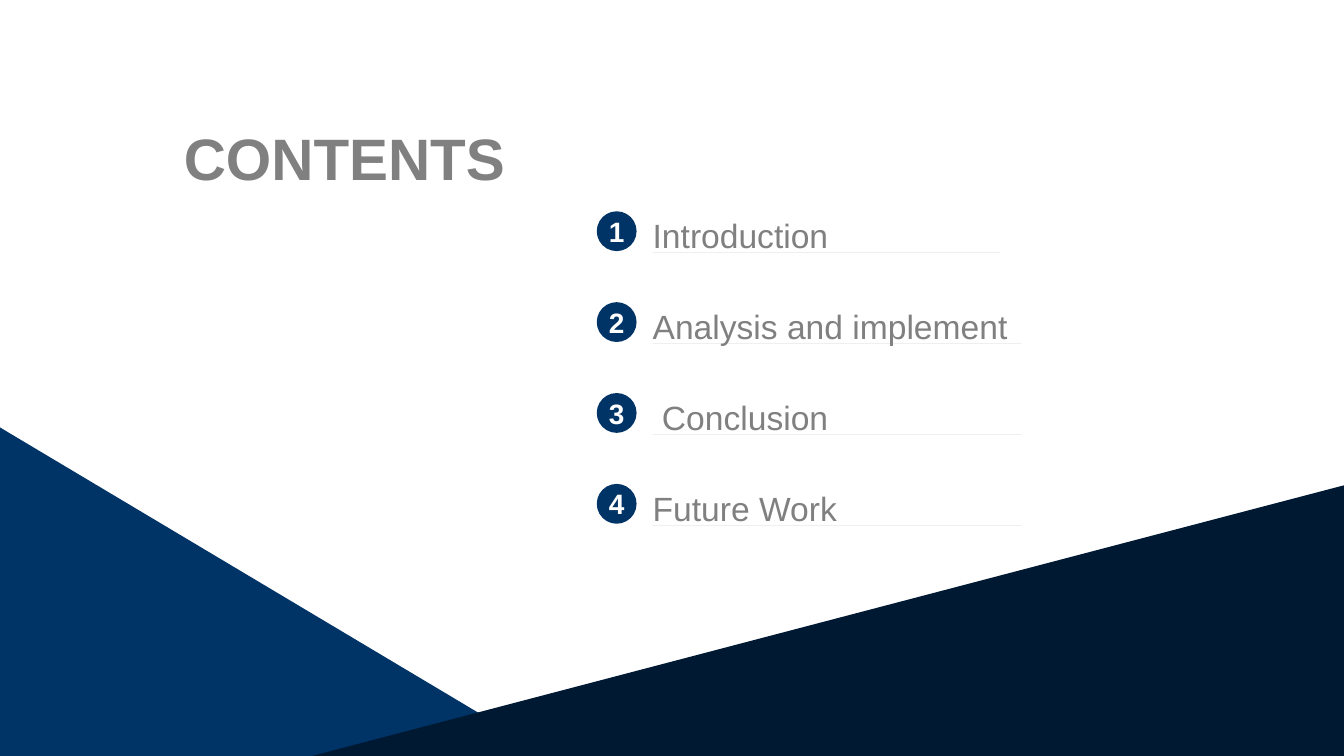
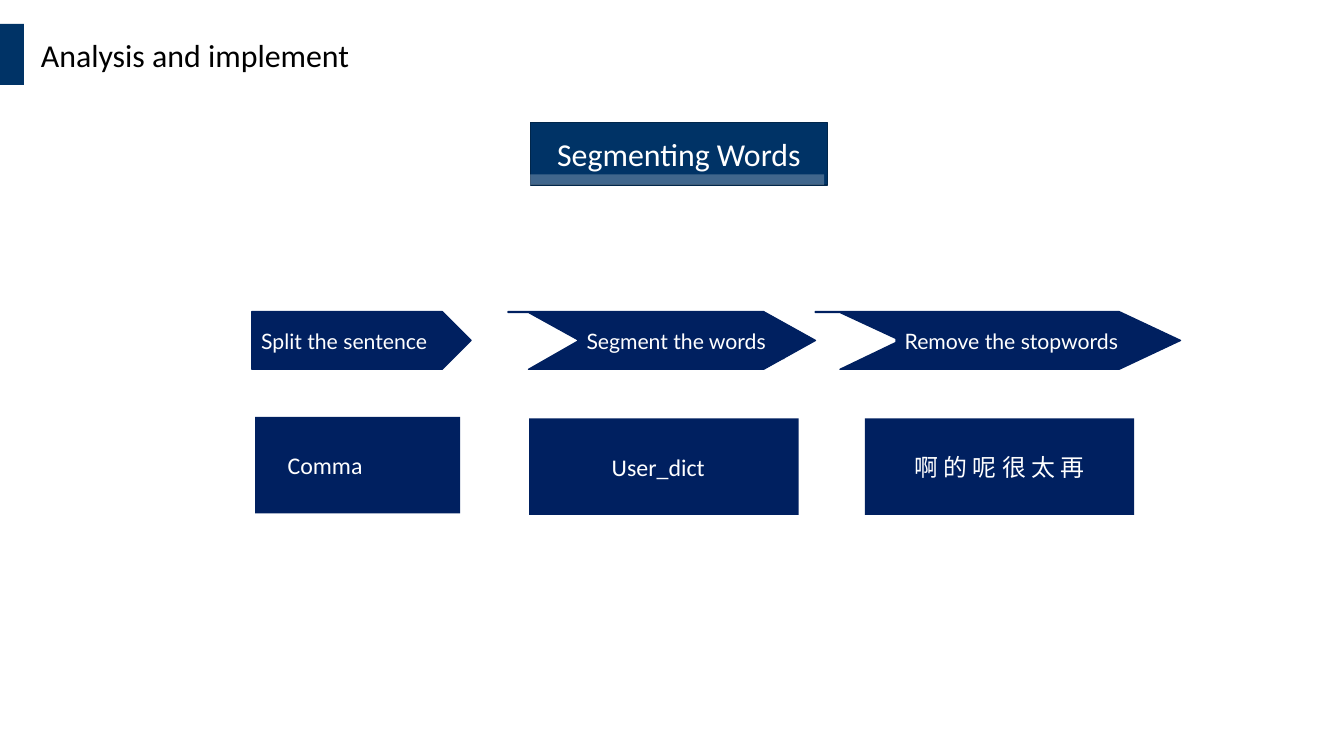
from dataclasses import dataclass

from lxml.etree import SubElement
from pptx import Presentation
from pptx.dml.color import RGBColor as RGB
from pptx.enum.shapes import MSO_SHAPE as SHAPE
from pptx.enum.text import MSO_ANCHOR as ANCHOR, PP_ALIGN as ALIGN
from pptx.oxml.ns import qn
from pptx.util import Pt


@dataclass(frozen=True)
class Theme:
    """Colours, fonts, type sizes and slide size."""
    width: float = 1012.5
    height: float = 569.5
    white: str = "FFFFFF"
    black: str = "000000"
    grey: str = "808080"
    blue: str = "003366"
    blue_edge: str = "00264B"
    navy: str = "002060"
    night: str = "001933"
    sans: str = "Arial"
    body: str = "Calibri"
    label: str = "Lato"
    contents: float = 44
    item: float = 25.3
    number: float = 21.1
    heading: float = 24
    box: float = 18
    step: float = 16


T = Theme()
INSETS = (7.2, 3.6, 7.2, 3.6)
NO_INSETS = (0, 0, 0, 0)


def put_text(s, text, *, size, color=T.white, font=T.body, bold=False, align=ALIGN.CENTER,
             anchor=ANCHOR.MIDDLE, insets=INSETS, spacing=None):
    """Write one formatted paragraph into a shape."""
    tf = s.text_frame
    tf.word_wrap = True
    tf.vertical_anchor = anchor
    tf.margin_left, tf.margin_top, tf.margin_right, tf.margin_bottom = map(Pt, insets)
    p = tf.paragraphs[0]
    p.alignment = align
    if spacing:
        p.line_spacing = spacing
    r = p.add_run()
    r.text = text
    r.font.name, r.font.size, r.font.bold = font, Pt(size), bold
    r.font.color.rgb = RGB.from_string(color)


def paint(s, fill, line=None, alpha=None):
    """Set a shape's fill, opacity and outline, without a shadow."""
    s.shadow.inherit = False
    s.fill.solid()
    s.fill.fore_color.rgb = RGB.from_string(fill)
    if alpha is not None:
        clr = s._element.spPr.find(".//" + qn("a:srgbClr"))
        SubElement(clr, qn("a:alpha")).set("val", str(alpha * 1000))
    if line:
        s.line.color.rgb = RGB.from_string(line)
        s.line.width = Pt(1)
    else:
        s.line.fill.background()
    return s


def shape(sl, kind, x, y, w, h, fill, **style):
    """Add a painted preset shape."""
    return paint(sl.shapes.add_shape(kind, Pt(x), Pt(y), Pt(w), Pt(h)), fill, **style)


def outline(sl, contours, fill, **style):
    """Add a painted shape made of one or more closed contours."""
    (first, *rest), *others = [[(Pt(x), Pt(y)) for x, y in c] for c in contours]
    fb = sl.shapes.build_freeform(*first, scale=1.0)
    fb.add_line_segments(rest, close=True)
    for start, *points in others:
        fb.move_to(*start)
        fb.add_line_segments(points, close=True)
    return paint(fb.convert_to_shape(), fill, **style)


def text_box(sl, text, x, y, w, h, **fmt):
    """Add a text box without insets."""
    s = sl.shapes.add_textbox(Pt(x), Pt(y), Pt(w), Pt(h))
    put_text(s, text, insets=NO_INSETS, **fmt)


def contents_item(sl, number, text, y, w):
    """Add a numbered contents entry that stands on a hairline."""
    s = shape(sl, SHAPE.OVAL, 449.6, y, 30, 30, T.blue)
    put_text(s, str(number), size=T.number, font=T.sans, bold=True, insets=NO_INSETS)
    x, top, base = 491.7, y - 4.5, y + 31.1
    s = outline(sl, [[(x, base), (x + w, base), (x, base)], [(x, top)] * 3], T.grey)
    put_text(s, text, size=T.item, color=T.grey, font=T.sans, align=ALIGN.LEFT,
             insets=NO_INSETS, spacing=1.3)


def step_arrow(sl, y, h, left, inner, notch, shoulder, tip):
    """Add a notched arrow with a thin lip at its top left."""
    lip, mid, bottom = y + 0.7, y + h / 2, y + h
    outline(sl, [[(left, y), (shoulder, y), (tip, mid), (shoulder, bottom),
                  (inner, bottom), (notch, mid), (inner, lip), (left, lip)]],
            T.navy, line=T.navy)


def step_label(sl, text, x, w):
    """Add the plate that names a step."""
    s = shape(sl, SHAPE.RECTANGLE, x, 244.1, w, 26.6, T.navy)
    put_text(s, text, size=T.step, font=T.label, align=ALIGN.LEFT, anchor=ANCHOR.TOP)


def contents_slide(sl):
    """Build the contents slide."""
    text_box(sl, "CONTENTS", 129.6, 92.2, 260, 53.3, size=T.contents, color=T.grey,
             font=T.sans, bold=True, anchor=ANCHOR.TOP)
    items = [("Introduction", 262), ("Analysis and implement", 277.6),
             (" Conclusion", 277.6), ("Future Work", 277.6)]
    for i, (text, w) in enumerate(items):
        contents_item(sl, i + 1, text, 159.2 + 68.45 * i, w)
    outline(sl, [[(0, 322), (415, T.height), (0, T.height)]], T.blue)
    outline(sl, [[(T.width, 365.6), (T.width, T.height), (235, T.height)]], T.night)


def process_slide(sl):
    """Build the word segmentation slide."""
    shape(sl, SHAPE.RECTANGLE, 0, 18, 18, 46, T.blue)
    text_box(sl, "Analysis and implement", 30.8, 26.6, 283, 29, size=T.heading,
             color=T.black, align=ALIGN.LEFT, anchor=ANCHOR.TOP)
    s = shape(sl, SHAPE.RECTANGLE, 399.5, 92.5, 224, 46.8, T.blue, line=T.blue_edge)
    put_text(s, "Segmenting Words", size=T.heading)
    shape(sl, SHAPE.RECTANGLE, 391, 131.4, 229.9, 7.9, T.white, alpha=25)

    y, h = 234.7, 43.5
    shape(sl, SHAPE.PENTAGON, 189.7, y, 165.2, h, T.navy, line=T.navy)
    step_label(sl, "Split the sentence", 189.7, 146.2)
    step_arrow(sl, y, h, 614.2, 632.8, 678.2, 843.1, 889.4)
    step_label(sl, "Remove the stopwords", 674.5, 180)
    step_arrow(sl, y, h, 382.8, 398.2, 436.3, 575.3, 614.4)
    step_label(sl, "Segment the words", 434.8, 156.2)

    boxes = [("Comma", 192.2, 314, 154.5, ALIGN.LEFT, (24.5, 3.6, 7.2, 3.6)),
             ("User_dict", 398.6, 315.2, 203, ALIGN.CENTER, (7.2, 3.6, 15.6, 3.6)),
             ("啊 的 呢 很 太 再", 651.5, 315.2, 203, ALIGN.CENTER, INSETS)]
    for text, x, top, w, align, insets in boxes:
        s = shape(sl, SHAPE.RECTANGLE, x, top, w, 72.7, T.navy)
        put_text(s, text, size=T.box, align=align, insets=insets)


def main():
    """Build and save the presentation."""
    prs = Presentation()
    prs.slide_width, prs.slide_height = Pt(T.width), Pt(T.height)
    for build in (contents_slide, process_slide):
        build(prs.slides.add_slide(prs.slide_layouts[6]))
    prs.save("out.pptx")


if __name__ == "__main__":
    main()
